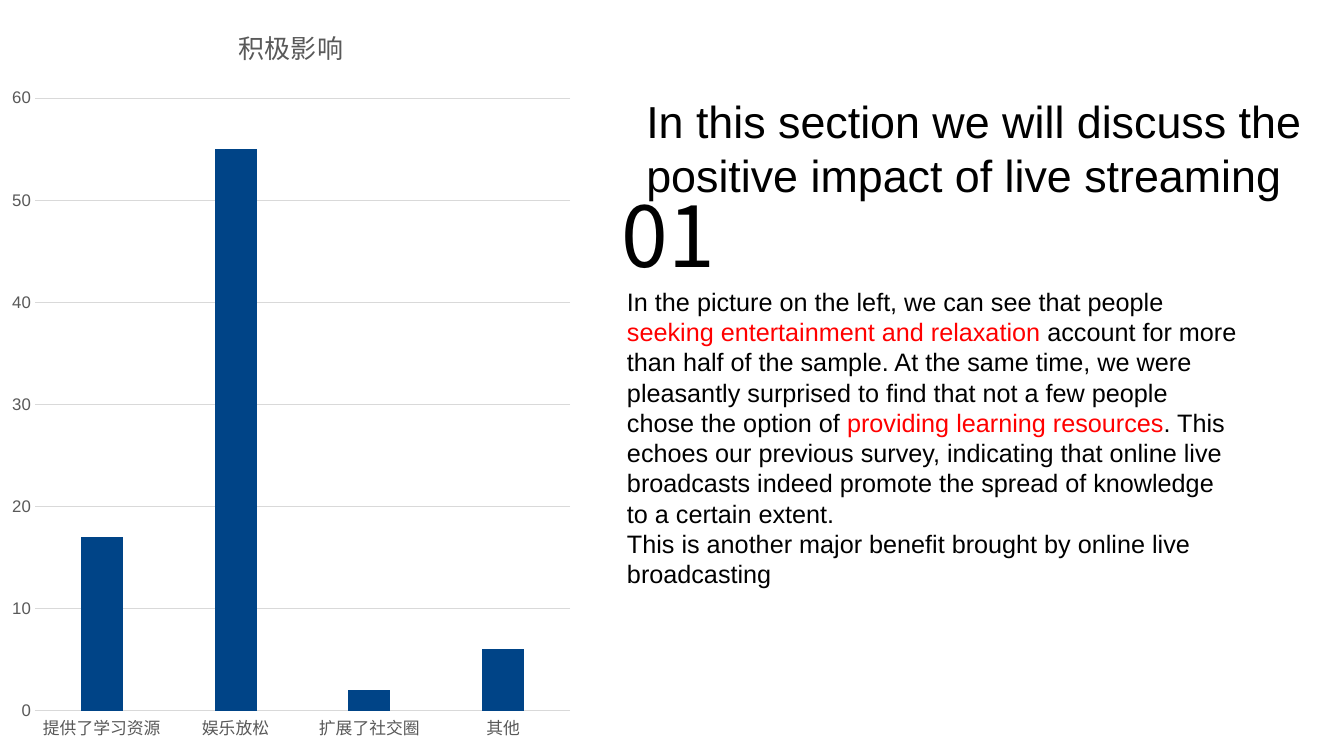
from lxml import etree
from pptx import Presentation
from pptx.chart.data import CategoryChartData
from pptx.dml.color import RGBColor
from pptx.enum.chart import XL_CHART_TYPE, XL_TICK_MARK
from pptx.enum.text import MSO_ANCHOR, MSO_AUTO_SIZE, PP_ALIGN
from pptx.oxml import parse_xml
from pptx.oxml.ns import nsdecls
from pptx.util import Inches, Pt

COLUMN = XL_CHART_TYPE.COLUMN_CLUSTERED
NO_TICK = XL_TICK_MARK.NONE
TOP, LEFT, NO_FIT = MSO_ANCHOR.TOP, PP_ALIGN.LEFT, MSO_AUTO_SIZE.NONE
FONT, NUMBER_FONT = "Arial", "Noto Sans CJK SC"
COLORS = {"text": "000000", "accent": "FF0000", "label": "595959",
          "grid": "D9D9D9", "bar": "004487"}


def rgb(name):
    return RGBColor.from_string(COLORS[name])


def write(shape, paragraphs, size, font=FONT):
    """Fill a shape with paragraphs, each a list of (text, colour name) runs."""
    tf = shape.text_frame
    tf.word_wrap, tf.auto_size, tf.vertical_anchor = True, NO_FIT, TOP
    for i, runs in enumerate(paragraphs):
        p = tf.add_paragraph() if i else tf.paragraphs[0]
        p.alignment = LEFT
        for text, color in runs:
            r = p.add_run()
            r.text = text
            r.font.size, r.font.name = Pt(size), font
            r.font.color.rgb = rgb(color)


prs = Presentation()
prs.slide_width, prs.slide_height = Inches(13.33), Inches(7.5)
s = prs.slides.add_slide(prs.slide_layouts[5])

# Chart on the left
data = CategoryChartData()
data.categories = ["提供了学习资源", "娱乐放松", "扩展了社交圈", "其他"]
data.add_series("Series 1", [17, 55, 2, 6])
chart = s.shapes.add_chart(COLUMN, 0, 0, Inches(5.77), prs.slide_height, data).chart
chart.has_legend = False
chart.font.name, chart.font.size = FONT, Pt(12)
chart.font.color.rgb = rgb("label")

chart.has_title = True
chart.chart_title.include_in_layout = False
r = chart.chart_title.text_frame.paragraphs[0].add_run()
r.text = "积极影响"
r.font.size, r.font.bold, r.font.name = Pt(18.6), False, FONT
r.font.color.rgb = rgb("label")

plot = chart.plots[0]
plot.gap_width, plot.overlap, plot.vary_by_categories = 219, -27, False
bars = plot.series[0].format.fill
bars.solid()
bars.fore_color.rgb = rgb("bar")

cats, vals = chart.category_axis, chart.value_axis
for axis in (cats, vals):
    axis.major_tick_mark = axis.minor_tick_mark = NO_TICK
vals.minimum_scale, vals.maximum_scale, vals.major_unit = 0, 60, 10
vals.format.line.fill.background()
for line in (cats.format.line, vals.major_gridlines.format.line):
    line.color.rgb, line.width = rgb("grid"), Pt(0.75)

# Fixed plot area, as shares of the chart
plot_area = plot._element.getparent()
for old in plot_area.findall("{*}layout"):
    plot_area.remove(old)
layout = parse_xml(f'<c:layout {nsdecls("c")}><c:manualLayout/></c:layout>')
settings = {"layoutTarget": "inner", "xMode": "edge", "yMode": "edge",
            "x": 0.06, "y": 0.13, "w": 0.92, "h": 0.81}
for tag, value in settings.items():
    etree.SubElement(layout[0], layout.tag.replace("layout", tag), val=str(value))
plot_area.insert(0, layout)

# Text on the right
number = s.shapes.add_textbox(Inches(6.07), Inches(1.77), Inches(1.4), Inches(1.3))
write(number, [[("01", "text")]], 60, NUMBER_FONT)

body = s.shapes.add_textbox(Inches(6.12), Inches(2.79), Inches(6.29), Inches(3.13))
write(body, [
    [("In the picture on the left, we can see that people ", "text"),
     ("seeking entertainment and relaxation ", "accent"),
     ("account for more than half of the sample. At the same time, we were "
      "pleasantly surprised to find that not a few people chose the option of ", "text"),
     ("providing learning resources", "accent"),
     (". This echoes our previous survey, indicating that online live broadcasts "
      "indeed promote the spread of knowledge to a certain extent.", "text")],
    [("This is another major benefit brought by online live broadcasting", "text")],
], 18)

title = s.shapes.title
title.left, title.top = Inches(6.31), Inches(0.88)
title.width, title.height = Inches(7.02), Inches(1.18)
write(title, [[("In this section we will discuss the positive impact of live streaming",
                "text")]], 32)

prs.save("out.pptx")
